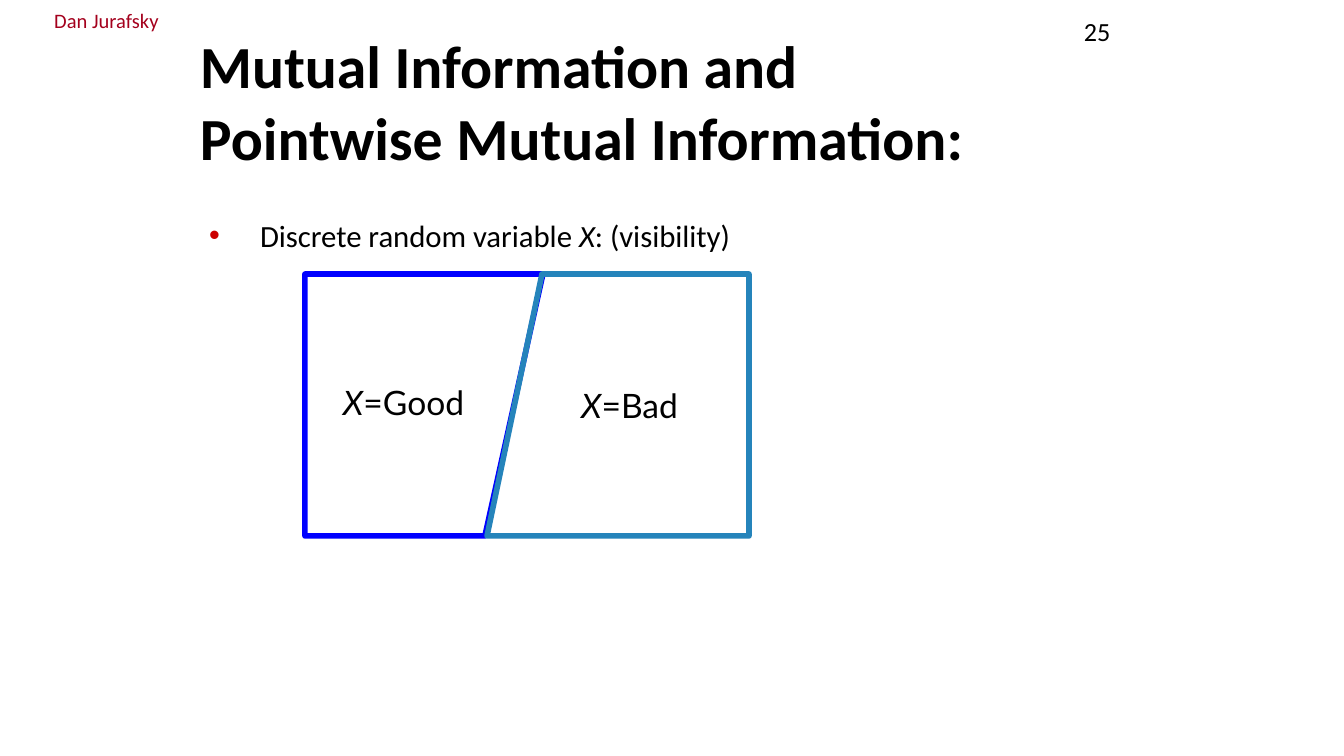
import pptx
import pptx.util
import pptx.dml.color
import pptx.enum.text
import pptx.oxml
import pptx.oxml.ns

PX = 914400 / 134.4
COLORS = {"black": "000000", "header": "A4001D", "bullet": "CC0000",
          "good": "0000FF", "bad": "2584BB"}
ALIGN = pptx.enum.text.PP_ALIGN
ANCHOR = pptx.enum.text.MSO_ANCHOR


def emu(px):
    return pptx.util.Emu(round(px * PX))


def rgb(name):
    return pptx.dml.color.RGBColor.from_string(COLORS[name])


def write(para, text, size=18, font="Calibri", color="black", bold=False, italic=False):
    """Add text as one span, with each newline as a line break."""
    for number, line in enumerate(text.split("\n")):
        if number:
            para.add_line_break()
        span = para.add_run()
        span.text = line
        span.font.size = pptx.util.Pt(size)
        span.font.name = font
        span.font.color.rgb = rgb(color)
        span.font.bold = bold
        span.font.italic = italic


class SlideBuilder:
    def __init__(self, page):
        self.page = page

    def text(self, left, top, width, height, parts, shapes=None, wrap=True,
             anchor=ANCHOR.TOP, align=ALIGN.LEFT, side_inset=13, **style):
        """Add a text box; parts are (text, italic) pairs. Return its paragraph."""
        shapes = shapes or self.page.shapes
        box = shapes.add_textbox(emu(left), emu(top), emu(width), emu(height))
        frame = box.text_frame
        frame.word_wrap = wrap
        frame.vertical_anchor = anchor
        frame.margin_left = frame.margin_right = emu(side_inset)
        para = frame.paragraphs[0]
        para.alignment = align
        for words, italic in parts:
            write(para, words, italic=italic, **style)
        return para

    def bullet(self, para, indent):
        props = para._p.get_or_add_pPr()
        props.set("marL", str(emu(indent)))
        props.set("indent", str(-emu(indent)))
        space = pptx.oxml.ns.nsdecls("a")
        for xml in (f'<a:buClr {space}><a:srgbClr val="{COLORS["bullet"]}"/></a:buClr>',
                    f'<a:buFont {space} typeface="Arial"/>',
                    f'<a:buChar {space} char="•"/>'):
            props.append(pptx.oxml.parse_xml(xml))

    def region(self, corners, color, label, label_box):
        """Add an outlined area grouped with its label."""
        shapes = self.page.shapes.add_group_shape().shapes
        builder = shapes.build_freeform(*corners[0], scale=PX)
        builder.add_line_segments(corners[1:], close=True)
        outline = builder.convert_to_shape()
        outline.shadow.inherit = False
        outline.fill.background()
        outline.line.color.rgb = rgb(color)
        outline.line.width = pptx.util.Pt(3)
        properties = outline.line._get_or_add_ln()
        properties.append(pptx.oxml.parse_xml(f'<a:round {pptx.oxml.ns.nsdecls("a")}/>'))
        self.text(*label_box, [("X", True), (label, False)], shapes=shapes,
                  wrap=False, font="Lato")


def main():
    deck = pptx.Presentation()
    deck.slide_width, deck.slide_height = emu(1344), emu(756)
    slide = SlideBuilder(deck.slides.add_slide(deck.slide_layouts[6]))

    slide.text(11, 1, 191, 39, [("Dan Jurafsky", False)], align=ALIGN.CENTER,
               side_inset=0, size=11, color="header")
    slide.text(1071, 9, 251, 51, [("25", False)], size=14)
    slide.text(187, 93, 972, 86,
               [("Mutual Information and\nPointwise Mutual Information:", False)],
               anchor=ANCHOR.BOTTOM, size=32, bold=True)
    body = slide.text(196, 210, 962, 595,
                      [("Discrete random variable ", False), ("X", True),
                       (": (visibility)", False)], size=16.5)
    slide.bullet(body, 51)

    left, right, top, bottom = 305, 749, 274, 536
    slide.region([(left, top), (left, bottom), (485, bottom), (543, top)],
                 "good", "=Good", (330, 375, 149, 54))
    slide.region([(542, top), (487, bottom), (right, bottom), (right, top)],
                 "bad", "=Bad", (568, 378, 128, 95))

    deck.save("out.pptx")


if __name__ == "__main__":
    main()
